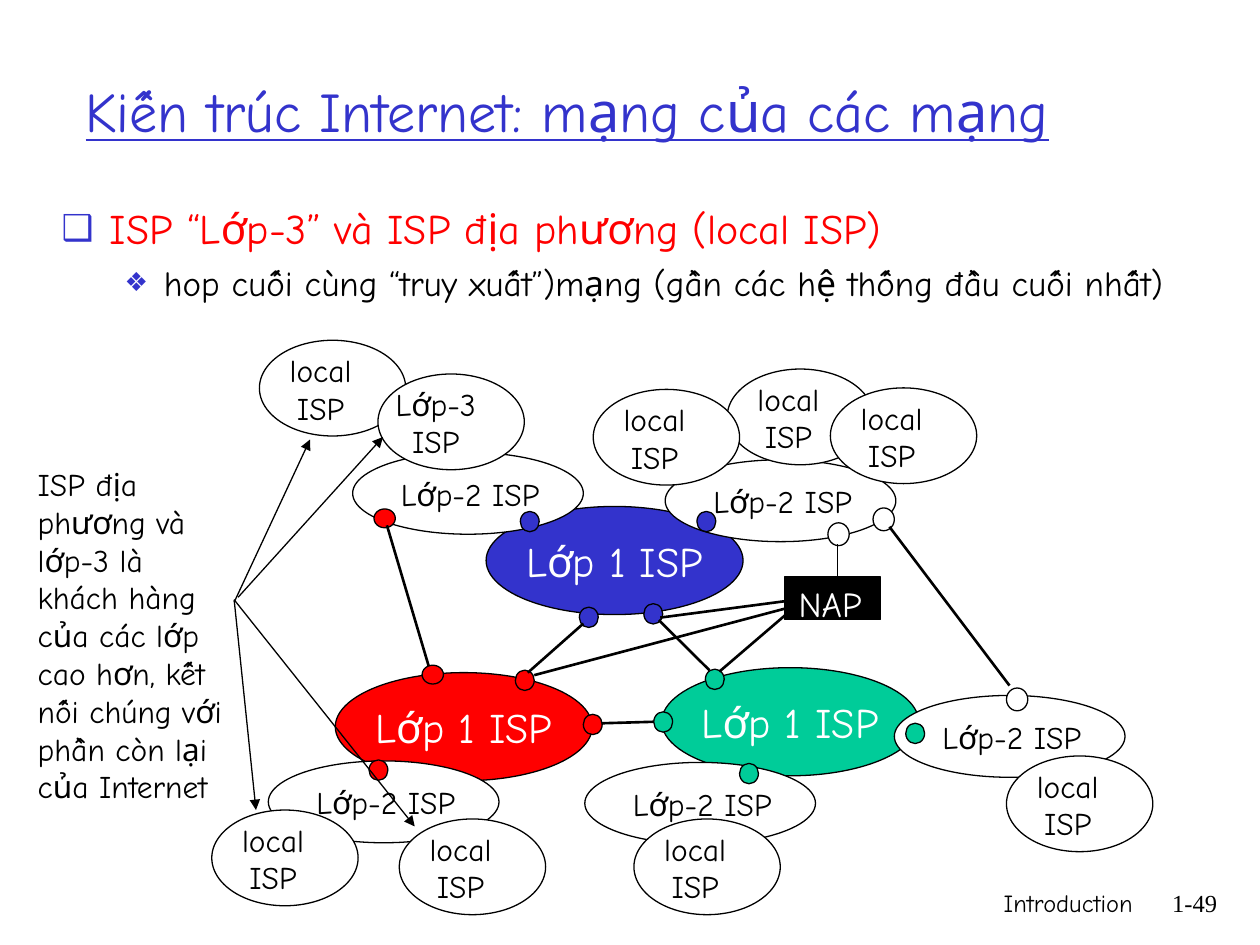
from lxml import etree
from pptx import Presentation
from pptx import util as u
from pptx.dml.color import RGBColor
from pptx.enum import shapes, text
from pptx.oxml import ns

BLACK, WHITE = "000000", "FFFFFF"
BLUE, RED, GREEN = "3333CC", "FF0000", "00CC99"
SMALL_DOT, FLAT_DOT, OPEN_DOT = (0.38, 0.41), (0.43, 0.38), (0.43, 0.46)
LEFT, CENTER, RIGHT = text.PP_ALIGN.LEFT, text.PP_ALIGN.CENTER, text.PP_ALIGN.RIGHT


def color(value):
    return RGBColor.from_string(value)


def add_xml(parent, tag, **attributes):
    return etree.SubElement(parent, ns.qn(tag), attributes)


def write(frame, content, size=18, fill=BLACK, font="Comic Neue", align=LEFT, underline=None):
    for index, line in enumerate(content.split("\n")):
        paragraph = frame.paragraphs[0] if index == 0 else frame.add_paragraph()
        paragraph.alignment = align
        run = paragraph.add_run()
        run.text = line
        run.font.name = font
        run.font.size = u.Pt(size)
        run.font.color.rgb = color(fill)
        run.font.underline = underline


class SlideBuilder:
    def __init__(self, slide):
        self.slide = slide
        self.thin = 0.75
        self.thick = 1.5

    def place(self, shape, left, top, width, height):
        shape.left, shape.top = u.Cm(left), u.Cm(top)
        shape.width, shape.height = u.Cm(width), u.Cm(height)

    def title(self, content, *box):
        title = self.slide.shapes.title
        self.place(title, *box)
        frame = title.text_frame
        frame.auto_size = text.MSO_AUTO_SIZE.NONE
        frame.vertical_anchor = text.MSO_ANCHOR.MIDDLE
        write(frame, content, size=32, fill=BLUE, underline=True)

    def bullets(self, items, *box):
        body = self.slide.placeholders[1]
        self.place(body, *box)
        frame = body.text_frame
        frame.auto_size = text.MSO_AUTO_SIZE.NONE
        write(frame, "\n".join(item["content"] for item in items))
        for level, (paragraph, item) in enumerate(zip(frame.paragraphs, items)):
            paragraph.level = level
            paragraph.space_before = u.Pt(item["before"])
            properties = paragraph._p.get_or_add_pPr()
            properties.set("marL", str(u.Cm(item["margin"])))
            properties.set("indent", str(-u.Cm(item["hanging"])))
            add_xml(add_xml(properties, "a:buClr"), "a:srgbClr", val=BLUE)
            add_xml(properties, "a:buSzPct", val=item["bullet_size"])
            add_xml(properties, "a:buChar", char=item["bullet"])
            font = paragraph.runs[0].font
            font.size = u.Pt(item["size"])
            font.color.rgb = color(item["fill"])

    def label(self, content, left, top, width, height, wrap=False, grow=True, **style):
        box = self.slide.shapes.add_textbox(u.Cm(left), u.Cm(top), u.Cm(width), u.Cm(height))
        frame = box.text_frame
        frame.word_wrap = wrap
        frame.auto_size = text.MSO_AUTO_SIZE.SHAPE_TO_FIT_TEXT if grow else text.MSO_AUTO_SIZE.NONE
        write(frame, content, **style)

    def shape(self, kind, left, top, width, height, fill):
        shape = self.slide.shapes.add_shape(kind, u.Cm(left), u.Cm(top), u.Cm(width), u.Cm(height))
        shape.shadow.inherit = False
        shape.fill.solid()
        shape.fill.fore_color.rgb = color(fill)
        shape.line.color.rgb = color(BLACK)
        shape.line.width = u.Pt(self.thin)
        return shape

    def ellipse(self, left, top, width, height, fill=WHITE):
        return self.shape(shapes.MSO_SHAPE.OVAL, left, top, width, height, fill)

    def dot(self, left, top, fill, size=SMALL_DOT):
        self.ellipse(left, top, *size, fill)

    def tier_one(self, left, top, fill):
        frame = self.ellipse(left, top, 5.18, 2.18, fill).text_frame
        frame.word_wrap = False
        frame.vertical_anchor = text.MSO_ANCHOR.MIDDLE
        write(frame, "Lớp 1 ISP", size=24, fill=WHITE, align=CENTER)

    def tier_two(self, left, top):
        self.ellipse(left, top, 4.65, 1.65)
        self.label("Lớp-2 ISP", left + 0.72, top + 0.33, 3.3, 1.02)

    def edge_network(self, left, top, name="local", inset=0.36, width=1.75):
        self.ellipse(left, top, 2.95, 1.93)
        self.label(f"{name}\nISP", left + inset, top + 0.09, width, 1.78, align=CENTER)

    def line(self, start_x, start_y, end_x, end_y, width=None, arrow=False):
        line = self.slide.shapes.add_connector(
            shapes.MSO_CONNECTOR.STRAIGHT, u.Cm(start_x), u.Cm(start_y), u.Cm(end_x), u.Cm(end_y))
        line.line.color.rgb = color(BLACK)
        line.line.width = u.Pt(width or self.thick)
        if arrow:
            add_xml(line.line._get_or_add_ln(), "a:tailEnd", type="triangle")
        add_xml(line._element.spPr, "a:effectLst")


def main():
    presentation = Presentation()
    presentation.slide_width, presentation.slide_height = u.Cm(25.4), u.Cm(19.05)
    builder = SlideBuilder(presentation.slides.add_slide(presentation.slide_layouts[1]))

    builder.label("Introduction", 15.04, 17.78, 8.05, 1.27, wrap=True, grow=False, size=14, align=RIGHT)
    builder.label("1-49", 23.06, 17.78, 1.73, 1.27, wrap=True, grow=False,
                  size=14, font="Times New Roman", align=RIGHT)
    builder.title("Kiến trúc Internet: mạng của các mạng", 1.47, 0.64, 22.48, 3.18)
    builder.bullets([
        dict(content="ISP “Lớp-3” và ISP địa phương (local ISP)", size=24, fill=RED,
             before=0, margin=0.97, hanging=0.97, bullet="❑", bullet_size="85000"),
        dict(content="hop cuối cùng “truy xuất”)mạng (gần các hệ thống đầu cuối nhất)", size=20, fill=BLACK,
             before=5, margin=2.06, hanging=0.79, bullet="❖", bullet_size="75000"),
    ], 0.99, 3.96, 23.44, 2.54)

    for core in [(6.76, 13.56, RED), (9.8, 10.21, BLUE), (13.34, 13.46, GREEN)]:
        builder.tier_one(*core)
    for peering_dot in [
        (14.22, 13.49, GREEN), (12.98, 12.17, BLUE), (11.68, 12.24, BLUE),
        (10.39, 13.51, RED), (11.76, 14.4, RED), (13.18, 14.35, GREEN),
    ]:
        builder.dot(*peering_dot)
    for peering_link in [
        (12.14, 14.58, 13.18, 14.55), (13.28, 12.5, 14.3, 13.51), (10.64, 13.56, 11.76, 12.57),
    ]:
        builder.line(*peering_link)

    builder.shape(shapes.MSO_SHAPE.RECTANGLE, 15.82, 11.63, 1.93, 0.86, BLACK)
    builder.label("NAP", 15.85, 11.61, 1.78, 1.12, size=20, fill=WHITE)
    for nap_link in [
        (15.9, 12.34, 14.5, 13.54), (15.82, 12.12, 13.31, 12.45), (15.82, 12.27, 10.77, 13.61),
    ]:
        builder.line(*nap_link)

    for left, top, *uplink_dot in [
        (13.41, 9.27, 14.05, 10.31, BLUE), (7.11, 9.12, 10.49, 10.31, BLUE),
        (5.41, 15.34, 7.44, 15.32, RED), (11.79, 15.37, 14.91, 15.39, GREEN),
        (18.03, 14.02, 18.26, 14.58, GREEN),
    ]:
        builder.tier_two(left, top)
        builder.dot(*uplink_dot)

    builder.dot(7.54, 10.26, RED, FLAT_DOT)
    builder.line(7.8, 10.59, 8.69, 13.59)
    builder.dot(8.51, 13.41, RED, FLAT_DOT)
    for open_dot in [(17.6, 10.24), (20.29, 13.87), (16.69, 10.54)]:
        builder.dot(*open_dot, WHITE, OPEN_DOT)
    builder.line(17.93, 10.62, 20.35, 13.82)
    builder.line(16.89, 10.97, 16.89, 11.63, builder.thin)

    for local_network in [
        (14.66, 7.44), (11.96, 7.85), (16.74, 7.82), (4.27, 16.33),
        (5.23, 6.86), (8.05, 16.51), (12.78, 16.51), (20.29, 15.24),
    ]:
        builder.edge_network(*local_network)
    builder.edge_network(7.62, 7.54, "Lớp-3", inset=0.1, width=2.13)

    builder.label("ISP địa phương và lớp-3 là khách hàng của các lớp cao hơn, "
                  "kết nối chúng với phần còn lại của Internet", 0.51, 9.25, 4.29, 7.11, wrap=True)
    for pointer in [
        (4.72, 12.14, 6.25, 8.86), (4.8, 12.04, 7.72, 8.81),
        (4.72, 12.09, 5.16, 16.33), (4.72, 12.09, 8.36, 16.66),
    ]:
        builder.line(*pointer, builder.thin, arrow=True)

    presentation.save("out.pptx")


if __name__ == "__main__":
    main()
